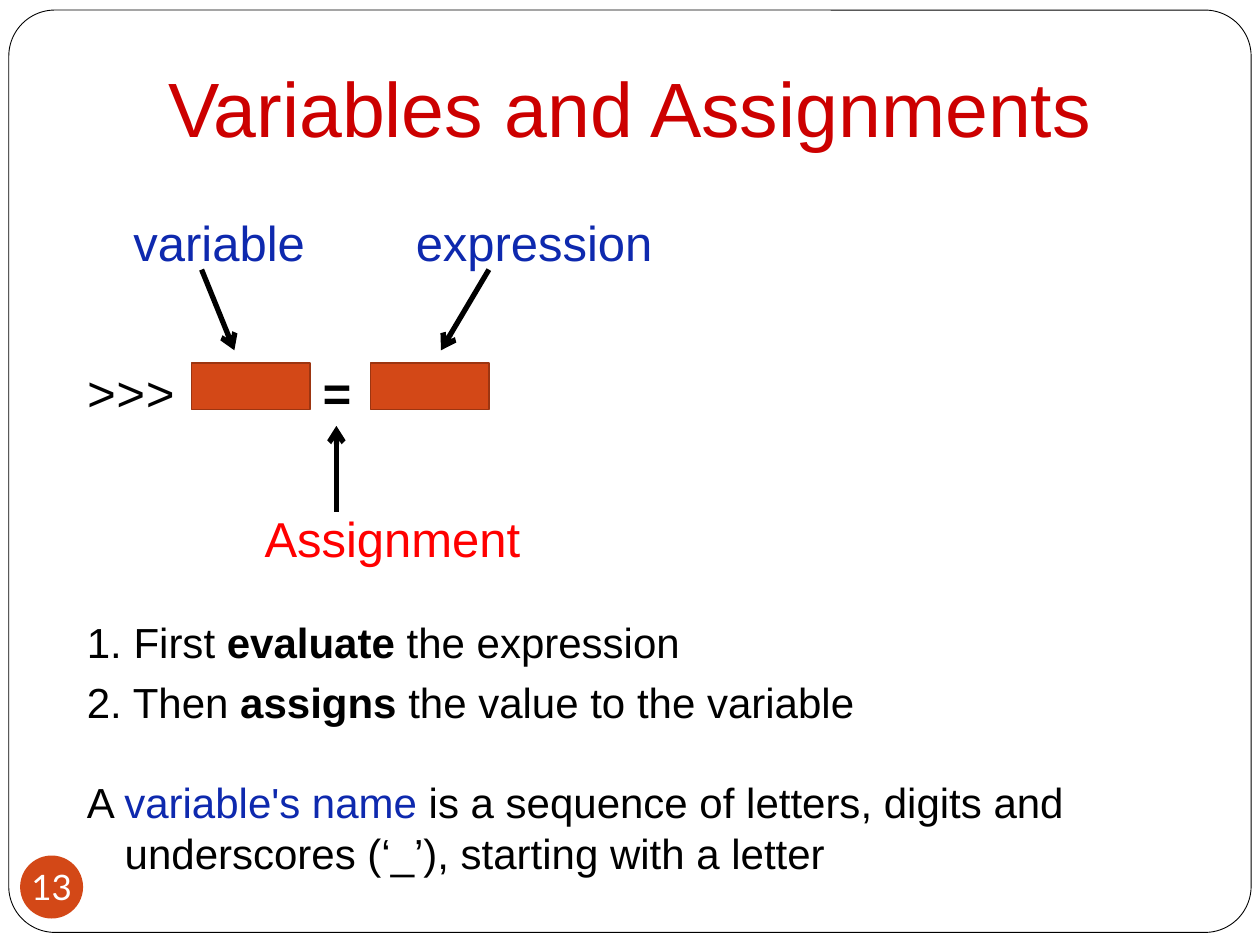
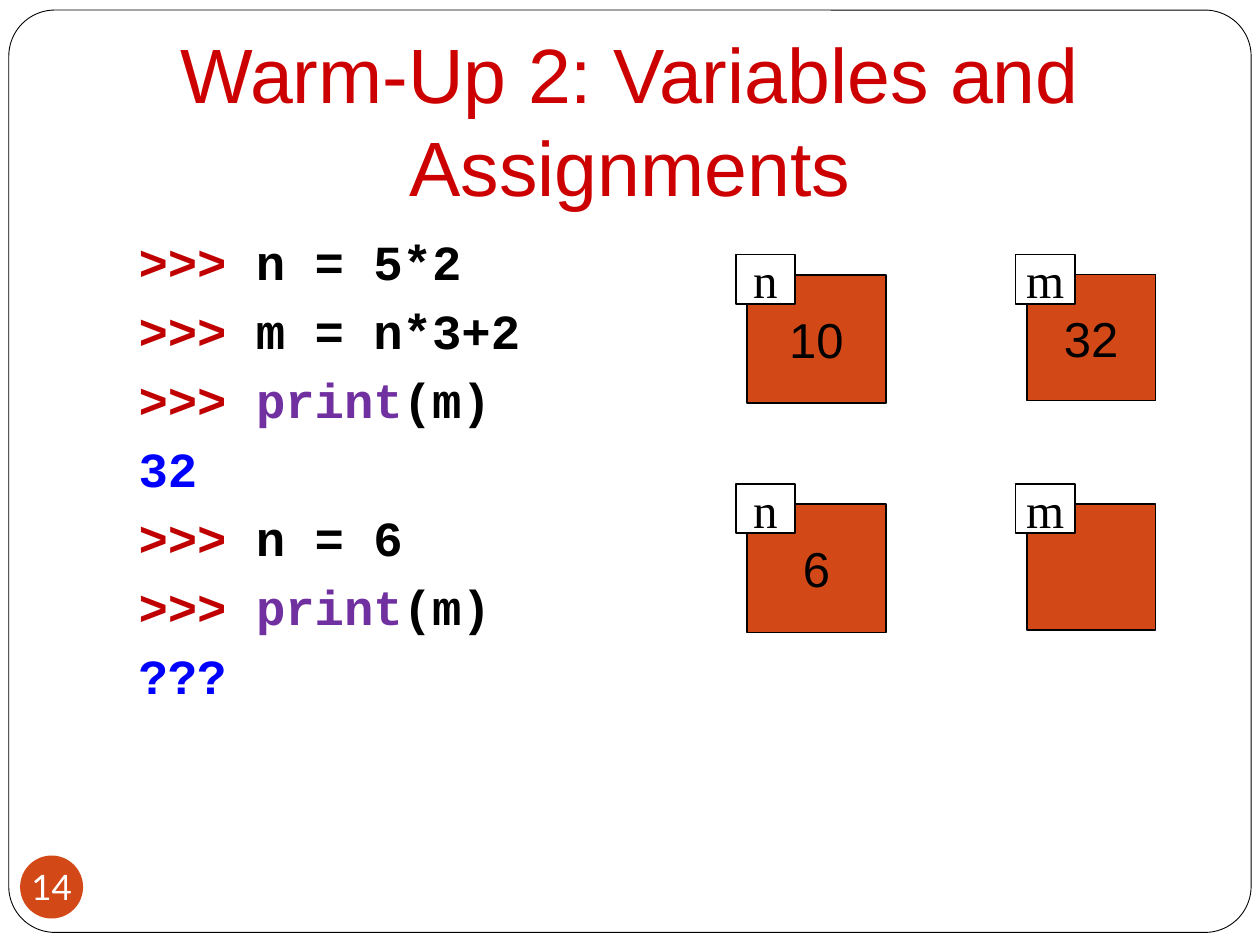
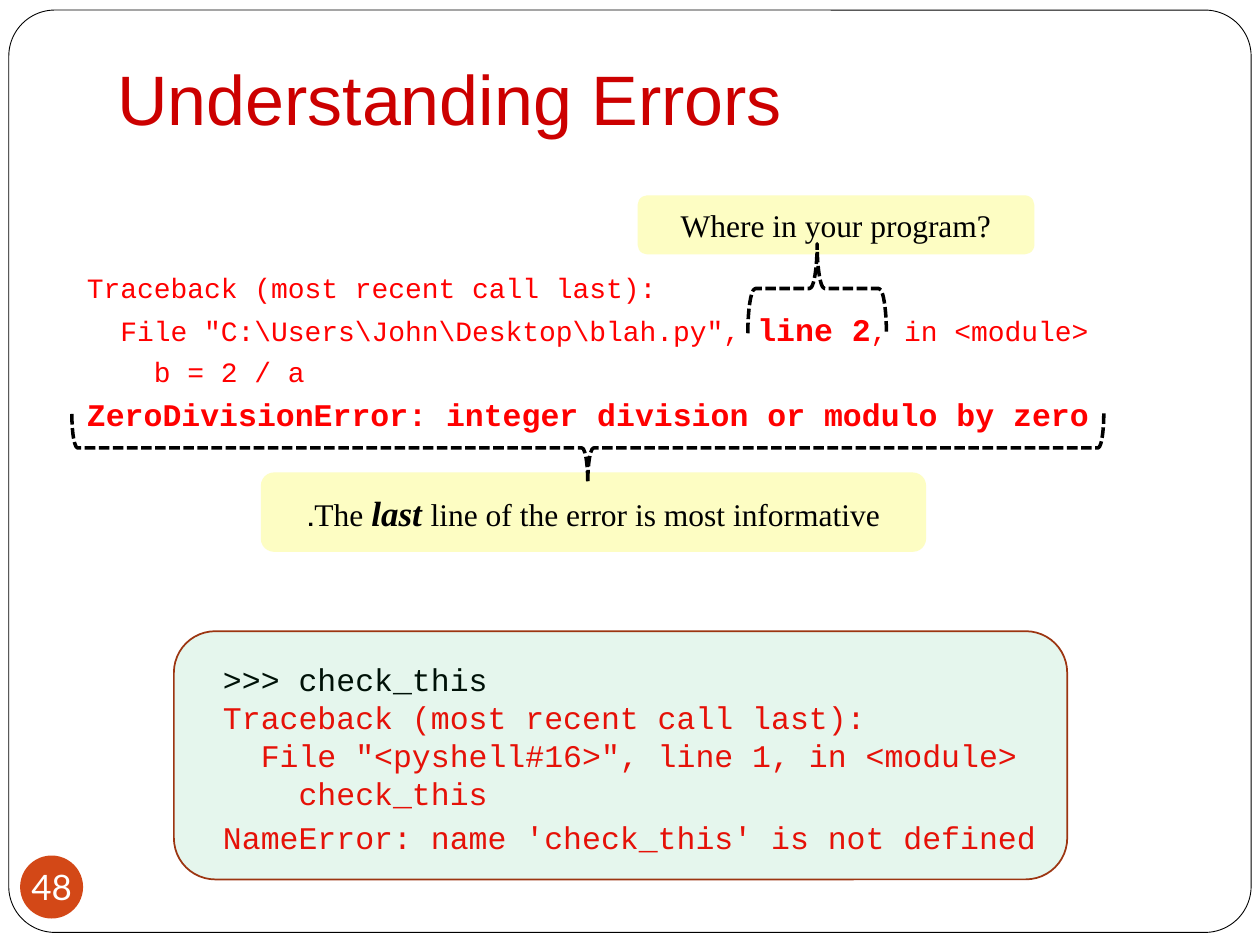
"""Build three lecture slides on Python variables, assignments and errors."""
from dataclasses import dataclass
from typing import Optional

from lxml import etree
from pptx import Presentation
from pptx.dml.color import RGBColor
from pptx.enum.dml import MSO_LINE
from pptx.enum.shapes import MSO_CONNECTOR, MSO_SHAPE
from pptx.enum.text import MSO_ANCHOR, MSO_AUTO_SIZE, PP_ALIGN
from pptx.oxml.ns import qn
from pptx.util import Inches, Pt

RECTANGLE = MSO_SHAPE.RECTANGLE
ROUNDED = MSO_SHAPE.ROUNDED_RECTANGLE
OVAL = MSO_SHAPE.OVAL
LEFT_BRACE = MSO_SHAPE.LEFT_BRACE
STRAIGHT = MSO_CONNECTOR.STRAIGHT
DASHED = MSO_LINE.SQUARE_DOT
LEFT, CENTER = PP_ALIGN.LEFT, PP_ALIGN.CENTER
TOP, MIDDLE = MSO_ANCHOR.TOP, MSO_ANCHOR.MIDDLE
NO_AUTOFIT = MSO_AUTO_SIZE.NONE

BLACK = RGBColor(0x00, 0x00, 0x00)
WHITE = RGBColor(0xFF, 0xFF, 0xFF)
TITLE_RED = RGBColor(0xCC, 0x00, 0x00)
PROMPT_RED = RGBColor(0xC0, 0x00, 0x00)
ERROR_RED = RGBColor(0xFF, 0x00, 0x00)
TERM_BLUE = RGBColor(0x0E, 0x29, 0xAE)
OUTPUT_BLUE = RGBColor(0x00, 0x00, 0xFF)
PURPLE = RGBColor(0x70, 0x30, 0xA0)
ORANGE = RGBColor(0xD3, 0x48, 0x17)
DARK_ORANGE = RGBColor(0x9C, 0x35, 0x11)
YELLOW = RGBColor(0xFD, 0xFD, 0xC3)
GREEN = RGBColor(0x00, 0xB0, 0x50)

SANS, MONO, SERIF, NUMBER_FONT = "Arial", "Courier New", "Times New Roman", "Lato"
LINE_HEIGHT = 1.2
PARAGRAPH_GAP = 5.8
MARGIN = 0.69


@dataclass
class Run:
    """A piece of text with its own look."""
    text: str
    color: RGBColor = BLACK
    bold: bool = False
    italic: bool = False
    size: Optional[int] = None


PROMPT = Run(">>>", PROMPT_RED, True)
PRINT_M = [Run(">>> ", PROMPT_RED, True), Run("print", PURPLE, True), Run("(m)", BLACK, True)]

ASSIGNMENT_LABELS = [
    (1.06, 1.69, SANS, Run("variable", TERM_BLUE)),
    (3.3, 1.69, SANS, Run("expression", TERM_BLUE)),
    (MARGIN, 2.88, MONO, Run(">>>")),
    (2.56, 2.88, MONO, Run("=", bold=True)),
    (2.1, 4.04, SANS, Run("Assignment", ERROR_RED)),
]
ASSIGNMENT_SLOTS = [1.52, 2.94]
ASSIGNMENT_ARROWS = [
    ((1.6, 2.14), (1.86, 2.78)),
    ((3.88, 2.14), (3.5, 2.78)),
    ((2.67, 4.06), (2.67, 3.38)),
]
ASSIGNMENT_STEPS = [
    [Run("1. First "), Run("evaluate", bold=True), Run(" the expression")],
    [Run("2. Then "), Run("assigns", bold=True), Run(" the value to the variable")],
    [Run("A "), Run("variable's name ", TERM_BLUE),
     Run("is a sequence of letters, digits and underscores (‘_’), starting with a letter")],
]

WARM_UP_CODE = [
    [PROMPT, Run(" n = 5*2", bold=True)],
    [PROMPT, Run(" m = n*3+2", bold=True)],
    PRINT_M,
    [Run("32", OUTPUT_BLUE, True)],
    [PROMPT, Run(" n = 6", bold=True)],
    PRINT_M,
    [Run("???", OUTPUT_BLUE, True)],
]
MEMORY_COLUMNS = [("n", 5.93, 1.1, 1.02), ("m", 8.15, 1.02, 1.0)]
MEMORY_ROWS = [(2.18, ("10", "32")), (4.0, ("6", ""))]

TRACEBACK = [
    [Run("Traceback (most recent call last):", ERROR_RED)],
    [Run("  File \"C:\\Users\\John\\Desktop\\blah.py\", ", ERROR_RED),
     Run("line 2", ERROR_RED, True, size=18), Run(", in <module>", ERROR_RED)],
    [Run("    b = 2 / a", ERROR_RED)],
    [Run("ZeroDivisionError: integer division or modulo by zero", ERROR_RED, True, size=18)],
]
CALLOUTS = [
    ((5.06, 1.55, 3.15, 0.47), False, [Run("Where in your program?")]),
    ((2.07, 3.75, 5.28, 0.63), True,
     [Run("The "), Run("last ", bold=True, italic=True, size=20),
      Run("line of the error is most informative.")]),
]
BRACES = [((4.39, -0.54, 0.55, 8.19), 270), ((6.13, 1.74, 0.71, 1.1), 90)]
CONSOLE = [
    [Run(">>> check_this")],
    [Run("Traceback (most recent call last):", ERROR_RED)],
    [Run("  File \"<pyshell#16>\", line 1, in <module>", ERROR_RED)],
    [Run("    check_this", ERROR_RED)],
    [Run("NameError: name 'check_this' is not defined", ERROR_RED)],
]


def inches(*lengths):
    return [Inches(length) for length in lengths]


def write(text_frame, paragraphs, size, font, align=LEFT, gap=0, line_height=LINE_HEIGHT):
    for index, runs in enumerate(paragraphs):
        paragraph = text_frame.paragraphs[0] if index == 0 else text_frame.add_paragraph()
        paragraph.alignment = align
        paragraph.space_before = Pt(gap if index else 0)
        paragraph.line_spacing = Pt(line_height * max(item.size or size for item in runs))
        for item in runs:
            run = paragraph.add_run()
            run.text = item.text
            run.font.name = font
            run.font.size = Pt(item.size or size)
            run.font.bold = item.bold
            run.font.italic = item.italic
            run.font.color.rgb = item.color


def set_frame(text_frame, anchor, wrap=True):
    text_frame.word_wrap = wrap
    text_frame.vertical_anchor = anchor
    text_frame.margin_left = text_frame.margin_right = 0
    text_frame.margin_top = text_frame.margin_bottom = 0


def add_text(slide, box, paragraphs, size, font, wrap=True, **style):
    text_frame = slide.shapes.add_textbox(*inches(*box)).text_frame
    set_frame(text_frame, TOP, wrap)
    write(text_frame, paragraphs, size, font, **style)
    return text_frame


def add_box(slide, kind, box, fill=None, line=None, width=1):
    shape = slide.shapes.add_shape(kind, *inches(*box))
    shape.shadow.inherit = False
    if fill is None:
        shape.fill.background()
    else:
        shape.fill.solid()
        shape.fill.fore_color.rgb = fill
    if line is None:
        shape.line.fill.background()
    else:
        shape.line.color.rgb = line
        shape.line.width = Pt(width)
    return shape


def add_label(shape, runs, size, font):
    set_frame(shape.text_frame, MIDDLE, False)
    write(shape.text_frame, [runs], size, font, CENTER)


def add_arrow(slide, start, end):
    arrow = slide.shapes.add_connector(STRAIGHT, *inches(*start, *end))
    arrow.line.color.rgb = BLACK
    arrow.line.width = Pt(3)
    etree.SubElement(arrow.line._get_or_add_ln(), qn("a:tailEnd"), type="arrow")
    etree.SubElement(arrow.element.spPr, qn("a:effectLst"))


def add_slide(presentation, title, number, box, size=44, align=CENTER):
    slide = presentation.slides.add_slide(presentation.slide_layouts[5])
    heading = slide.shapes.title
    heading.left, heading.top, heading.width, heading.height = inches(*box)
    heading.text_frame.auto_size = NO_AUTOFIT
    heading.text_frame.word_wrap = True
    heading.text_frame.vertical_anchor = MIDDLE
    write(heading.text_frame, [[Run(title, TITLE_RED)]], size, SANS, align)
    border = add_box(slide, ROUNDED, (0.07, 0.08, 9.86, 7.32), WHITE, BLACK, 0.5)
    border.adjustments[0] = 0.05
    heading.element.addprevious(border.element)
    badge = add_box(slide, OVAL, (0.16, 6.79, 0.5, 0.5), ORANGE)
    add_label(badge, [Run(str(number), WHITE)], 20, NUMBER_FONT)
    return slide


def build_assignments(presentation):
    slide = add_slide(presentation, "Variables and Assignments", 13, (0.5, 0.39, 9, 0.92))
    for left, top, font, run in ASSIGNMENT_LABELS:
        add_text(slide, (left, top, 2.2, 0.47), [[run]], 28, font, wrap=False)
    for left in ASSIGNMENT_SLOTS:
        add_box(slide, RECTANGLE, (left, 2.88, 0.94, 0.37), ORANGE, DARK_ORANGE)
    for start, end in ASSIGNMENT_ARROWS:
        add_arrow(slide, start, end)
    steps = add_text(slide, (MARGIN, 4.89, 8.3, 2.1), ASSIGNMENT_STEPS, 24, SANS,
                     gap=PARAGRAPH_GAP)
    definition = steps.paragraphs[-1]
    definition.space_before = Pt(28.4)
    properties = definition._p.get_or_add_pPr()
    properties.set("marL", str(Inches(0.3)))
    properties.set("indent", str(-Inches(0.3)))


def build_warm_up(presentation):
    slide = add_slide(presentation, "Warm-Up 2: Variables and Assignments", 14,
                      (0.5, 0.39, 9, 1.11))
    add_text(slide, (1.1, 1.84, 4.5, 3.8), WARM_UP_CODE, 28, MONO, gap=PARAGRAPH_GAP)
    for top, values in MEMORY_ROWS:
        for (name, left, width, height), value in zip(MEMORY_COLUMNS, values):
            cell = add_box(slide, RECTANGLE, (left, top, width, height), ORANGE, BLACK)
            if value:
                add_label(cell, [Run(value)], 28, SANS)
            tag = add_box(slide, RECTANGLE, (left - 0.09, top - 0.16, 0.47, 0.39), WHITE, BLACK)
            add_label(tag, [Run(name)], 28, SERIF)


def build_errors(presentation):
    slide = add_slide(presentation, "Understanding Errors", 48, (0.83, 0.31, 7.8, 0.92),
                      40, LEFT)
    add_text(slide, (MARGIN, 2.17, 8.3, 1.4), TRACEBACK, 16, MONO,
             gap=PARAGRAPH_GAP, line_height=0.9 * LINE_HEIGHT)
    for box, right_to_left, runs in CALLOUTS:
        callout = add_box(slide, ROUNDED, box, YELLOW)
        add_label(callout, runs, 18, SERIF)
        if right_to_left:
            callout.text_frame.paragraphs[0]._p.get_or_add_pPr().set("rtl", "1")
    for box, rotation in BRACES:
        brace = add_box(slide, LEFT_BRACE, box, line=BLACK, width=2)
        brace.line.dash_style = DASHED
        brace.rotation = rotation
    console = add_text(slide, (1.77, 5.24, 7.5, 1.6), CONSOLE, 18, MONO)
    console.paragraphs[-1].space_before = Pt(4)
    panel = add_box(slide, ROUNDED, (1.38, 5.01, 7.09, 1.97), GREEN, DARK_ORANGE)
    fill_color = panel.element.spPr.find(qn("a:solidFill"))[0]
    etree.SubElement(fill_color, qn("a:alpha"), val="10000")


def main():
    presentation = Presentation()
    presentation.slide_width, presentation.slide_height = inches(10, 7.5)
    build_assignments(presentation)
    build_warm_up(presentation)
    build_errors(presentation)
    presentation.save("out.pptx")


if __name__ == "__main__":
    main()
